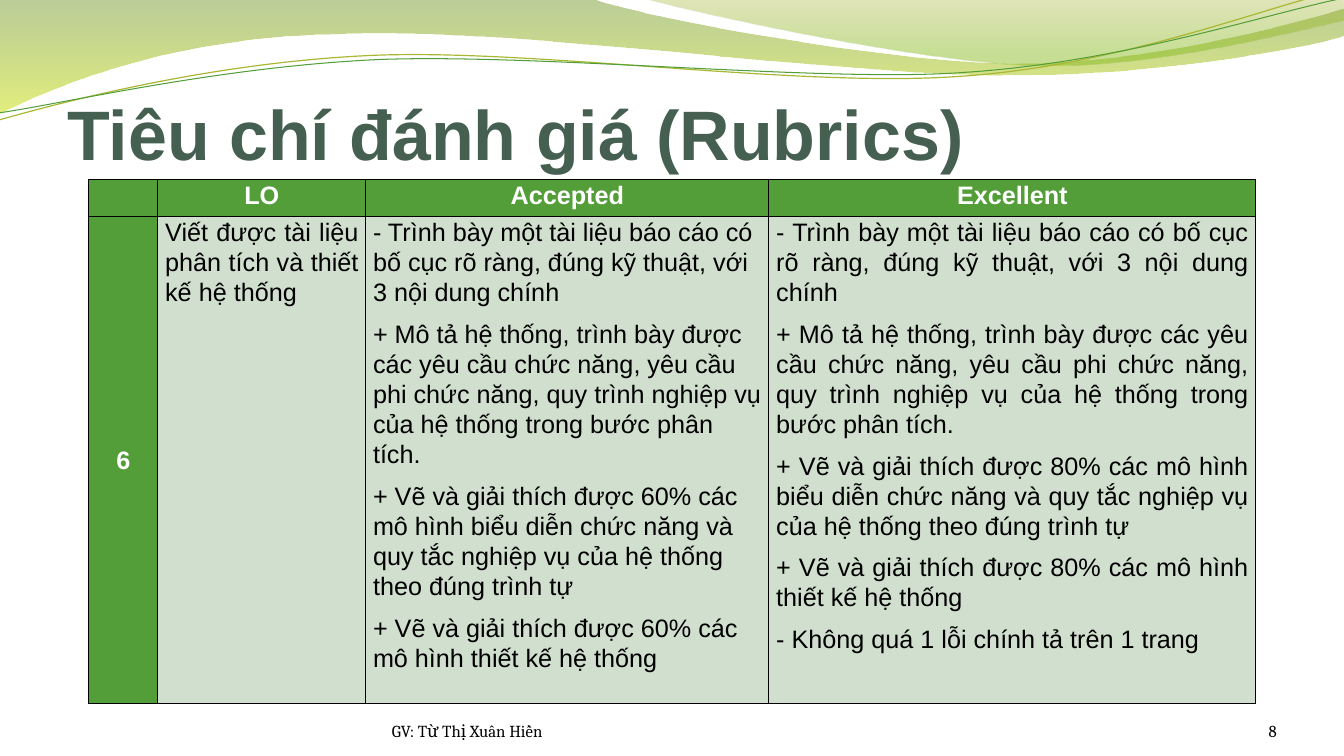
"""Build the rubric slide: wave header, title, assessment table and footer."""
from lxml.etree import SubElement
from pptx import Presentation
from pptx.dml.color import RGBColor
from pptx.enum.text import MSO_ANCHOR as Anchor, MSO_AUTO_SIZE as AutoSize, PP_ALIGN as Align
from pptx.oxml.ns import qn
from pptx.util import Pt

COLORS = {
    "ink": "000000", "white": "FFFFFF", "title": "455F51",
    "header": "549E39", "body": "D1DFCE",
    "moss": "69921C", "lime": "CCE10F", "olive": "9BAA1A", "leaf": "81BA16",
    "upper_line": "A9B733", "lower_line": "549E39",
}

WIDE_WAVE = [
    (-1.4, -0.7), (422.6, -0.7), (456.5, 12.2, 636.5, 45.4, 728, 45.4),
    (819, 45.4, 919.4, 18.7, 959.8, 6.5), (960.5, 25.9),
    (944, 31.7, 834.5, 54.7, 715.7, 54), (596.9, 54, 366.5, 20.2, 247, 24.5),
    (123.8, 25.9, 43.9, 59.8, -1.4, 81.4),
]
RIGHT_WAVE = [
    (459.4, -0.7), (488.9, 7.9, 654.5, 44.6, 738, 46.8),
    (820.8, 49.7, 923, 23, 959.8, 15.1), (959.8, 0),
]
UPPER_LINE = [
    (-0.7, 85.7), (45.4, 72.7, 151.2, 44.6, 265.7, 39.6),
    (379.4, 34.6, 568, 62.6, 683.3, 54.7), (799.2, 47.5, 900.7, 5.8, 957.6, -7.2),
]
LOWER_LINE = [
    (-0.7, 80.6), (44.6, 74.2, 157, 47.5, 271.4, 42.5),
    (386.6, 38.2, 589, 59, 687.6, 51.8), (802, 44.6, 903.6, 10.1, 959.8, -1.4),
]

REPORT = "- Trình bày một tài liệu báo cáo có bố cục rõ ràng, đúng kỹ thuật, với 3 nội dung chính"
DESCRIPTION = ("+ Mô tả hệ thống, trình bày được các yêu cầu chức năng, yêu cầu phi chức năng, "
               "quy trình nghiệp vụ của hệ thống trong bước phân tích.")
MODELS = ("+ Vẽ và giải thích được {} các mô hình biểu diễn chức năng và quy tắc nghiệp vụ "
          "của hệ thống theo đúng trình tự")
DESIGN = "+ Vẽ và giải thích được {} các mô hình thiết kế hệ thống"
SPELLING = "- Không quá 1 lỗi chính tả trên 1 trang"


def color(name):
    """Return the named colour."""
    return RGBColor.from_string(COLORS[name])


def write(frame, *lines, font="Arial", size=18, ink="ink", bold=False, align=Align.LEFT,
          spacing=None, after=None):
    """Fill a text frame with one formatted paragraph per line."""
    frame.word_wrap = True
    for index, line in enumerate(lines):
        paragraph = frame.add_paragraph() if index else frame.paragraphs[0]
        paragraph.alignment = align
        paragraph.line_spacing = spacing
        paragraph.space_after = after
        run = paragraph.add_run()
        run.text = line
        run.font.name, run.font.size, run.font.bold = font, Pt(size), bold
        run.font.color.rgb = color(ink)


def set_insets(frame, left=0, top=0, right=0, bottom=0):
    """Set the inner margins of a text frame."""
    frame.margin_left, frame.margin_top = Pt(left), Pt(top)
    frame.margin_right, frame.margin_bottom = Pt(right), Pt(bottom)


def bend(shape, outline):
    """Turn the straight segments that have control points into cubic curves."""
    for straight, segment in zip(list(shape.element.iter(qn("a:lnTo"))), outline[1:]):
        if len(segment) == 2:
            continue
        straight.tag = qn("a:cubicBezTo")
        straight.remove(straight[0])
        for x, y in zip(segment[::2], segment[1::2]):
            SubElement(straight, qn("a:pt"), x=str(Pt(x) - shape.left), y=str(Pt(y) - shape.top))


def add_outline(slide, outline, close):
    """Add a freeform without shadow along an outline of lines and curves."""
    start, *rest = [(Pt(segment[-2]), Pt(segment[-1])) for segment in outline]
    builder = slide.shapes.build_freeform(*start, scale=1.0)
    builder.add_line_segments(rest, close=close)
    shape = builder.convert_to_shape()
    bend(shape, outline)
    shape.shadow.inherit = False
    return shape


def add_wave(slide, outline, *stops):
    """Add a wave with a translucent gradient of (position, colour, opacity) stops."""
    wave = add_outline(slide, outline, close=True)
    wave.line.fill.background()
    wave.fill.gradient()
    wave.fill.gradient_angle = 270
    for stop, (position, name, _) in zip(wave.fill.gradient_stops, stops):
        stop.position = position
        stop.color.rgb = color(name)
    for tint, (_, _, opacity) in zip(wave.element.iter(qn("a:srgbClr")), stops):
        SubElement(tint, qn("a:alpha"), val=str(opacity * 1000))


def add_thread(slide, outline, name, width):
    """Add a thin open curve."""
    thread = add_outline(slide, outline, close=False)
    thread.fill.background()
    thread.line.color.rgb = color(name)
    thread.line.width = Pt(width)


def add_title(slide, text):
    """Format the title placeholder and bring it in front of the waves."""
    title = slide.shapes.title
    title.left, title.top, title.width, title.height = Pt(48), Pt(55.4), Pt(864), Pt(69)
    frame = title.text_frame
    frame.auto_size = AutoSize.NONE
    frame.vertical_anchor = Anchor.BOTTOM
    set_insets(frame, top=3.6)
    write(frame, text, size=50, ink="title", bold=True)
    title.element.getparent().append(title.element)


def add_footer(slide, text, left, width, align):
    """Add a footer text at the bottom of the slide."""
    frame = slide.shapes.add_textbox(Pt(left), Pt(500.5), Pt(width), Pt(28.8)).text_frame
    frame.vertical_anchor = Anchor.BOTTOM
    set_insets(frame)
    write(frame, text, font="Cambria", size=12, align=align)


def add_borders(cell):
    """Draw a thin line on every side of a cell."""
    properties = cell._tc.get_or_add_tcPr()
    for side in ("lnL", "lnR", "lnT", "lnB"):
        line = SubElement(properties, qn(f"a:{side}"), w=str(Pt(1)))
        SubElement(SubElement(line, qn("a:solidFill")), qn("a:srgbClr"), val=COLORS["ink"])


def fill_cell(cell, lines, heading, align, anchor=Anchor.TOP):
    """Style a table cell and write its lines."""
    add_borders(cell)
    cell.fill.solid()
    cell.fill.fore_color.rgb = color("header" if heading else "body")
    cell.vertical_anchor = anchor
    set_insets(cell, left=5.4, right=5)
    write(cell.text_frame, *lines, ink="white" if heading else "ink", bold=heading,
          align=align, spacing=1.07, after=Pt(8))


def add_rubric(slide):
    """Add the table of learning outcome and grading levels."""
    widths, heights = (49.3, 148.5, 288, 347.7), (26.6, 175.7)
    holder = slide.shapes.add_table(2, 4, Pt(63.3), Pt(128.2), Pt(sum(widths)), Pt(sum(heights)))
    table = holder.table
    for column, width in zip(table.columns, widths):
        column.width = Pt(width)
    for row, height in zip(table.rows, heights):
        row.height = Pt(height)
    holder.height = Pt(372.2)
    for index, heading in enumerate(("", "LO", "Accepted", "Excellent")):
        fill_cell(table.cell(0, index), [heading] if heading else [], True, Align.CENTER)
    fill_cell(table.cell(1, 0), ["6"], True, Align.CENTER, Anchor.MIDDLE)
    outcome = ["Viết được tài liệu phân tích và thiết kế hệ thống"]
    accepted, excellent = ([REPORT, DESCRIPTION, MODELS.format(share), DESIGN.format(share)]
                           for share in ("60%", "80%"))
    fill_cell(table.cell(1, 1), outcome, False, Align.JUSTIFY)
    fill_cell(table.cell(1, 2), accepted, False, Align.LEFT)
    fill_cell(table.cell(1, 3), excellent + [SPELLING], False, Align.JUSTIFY)


def main():
    """Build and save the slide."""
    deck = Presentation()
    deck.slide_width, deck.slide_height = Pt(960), Pt(540)
    slide = deck.slides.add_slide(deck.slide_layouts.get_by_name("Title Only"))
    add_wave(slide, WIDE_WAVE, (0, "moss", 45), (1, "lime", 55))
    add_wave(slide, RIGHT_WAVE, (0, "olive", 30), (0.8, "leaf", 45))
    add_thread(slide, UPPER_LINE, "upper_line", 0.85)
    add_thread(slide, LOWER_LINE, "lower_line", 0.75)
    add_title(slide, "Tiêu chí đánh giá (Rubrics)")
    add_footer(slide, "GV: Từ Thị Xuân Hiền", 280, 352, Align.LEFT)
    add_rubric(slide)
    add_footer(slide, "8", 832, 80, Align.RIGHT)
    deck.save("out.pptx")


if __name__ == "__main__":
    main()
